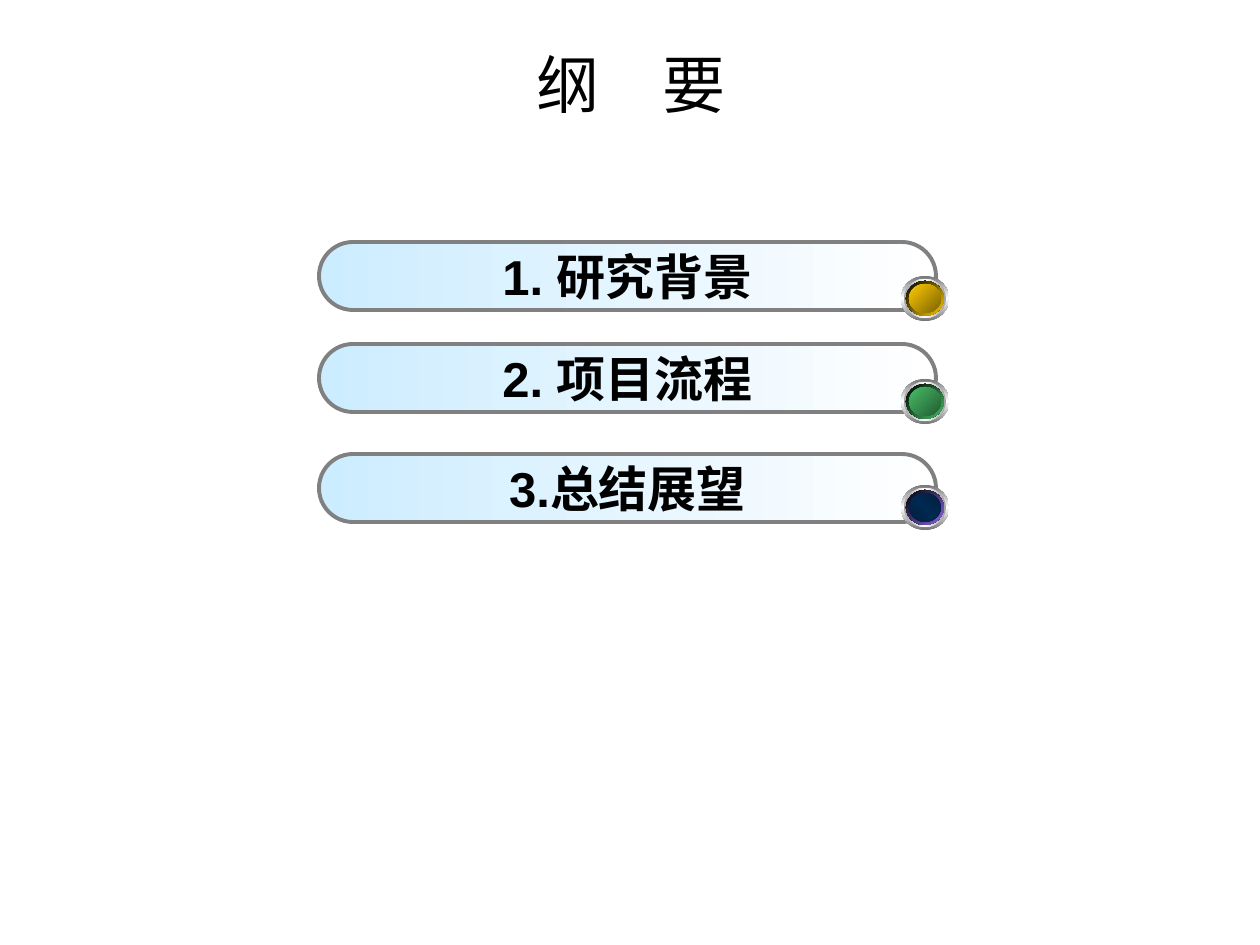
"""Build an outline slide with three pill-shaped entries and round badges."""
from pptx import Presentation
from pptx.dml.color import RGBColor
from pptx.enum.shapes import MSO_SHAPE
from pptx.enum.text import MSO_ANCHOR, PP_ALIGN
from pptx.oxml import parse_xml
from pptx.oxml.ns import nsdecls, qn
from pptx.util import Emu, Pt

PX = 914400 // 126
TITLE = "纲　要"
ENTRIES = [
    ("1. 研究背景", 242, 276, "FFCC00", "7C6300"),
    ("2. 项目流程", 344, 379, "48BE67", "235C32"),
    ("3.总结展望", 454, 485, "8D67E1", None),
]
BAR_LEFT, BAR_W, BAR_H = 319, 617, 68
BADGE_LEFT, BADGE_W, BADGE_H = 901, 48, 45


def px(*values):
    return [Emu(v * PX) for v in values]


def color(value):
    return RGBColor.from_string(value)


def write(sp, text, size, bold=False, wrap=True):
    tf = sp.text_frame
    tf.word_wrap = wrap
    tf.vertical_anchor = MSO_ANCHOR.MIDDLE
    p = tf.paragraphs[0]
    p.alignment = PP_ALIGN.CENTER
    r = p.add_run()
    r.text = text
    r.font.name = "Arial"
    r.font.size = Pt(size)
    r.font.bold = bold
    r.font.color.rgb = color("000000")


def add_gradient_shape(slide, kind, box, colors, angle, line=None):
    sp = slide.shapes.add_shape(kind, *px(*box))
    sp.shadow.inherit = False
    sp.fill.gradient()
    last = len(colors) - 1
    stops = "".join(
        f'<a:gs pos="{100000 * i // last}"><a:srgbClr val="{c}"/></a:gs>'
        for i, c in enumerate(colors)
    )
    spPr = sp._element.spPr
    spPr.replace(spPr.find(qn("a:gradFill")), parse_xml(
        f'<a:gradFill {nsdecls("a")} rotWithShape="1"><a:gsLst>{stops}</a:gsLst>'
        f'<a:lin ang="{angle * 60000}" scaled="1"/></a:gradFill>'
    ))
    if line:
        sp.line.color.rgb = color(line)
        sp.line.width = Pt(2.25)
    else:
        sp.line.fill.background()
    return sp


def add_badge(slide, top, light, dark):
    rings = [
        (0, ["767676", "FFFFFF", "767676"], 90),
        (3, ["A2A2A2", "FFFFFF", "A2A2A2"], 0),
        (5, ["FFFFFF", "002850", "FFFFFF"], 45),
        (5, ["000000", light], 45),
        (8, ["001F3D", "002850", "001F3D"], 315),
    ]
    if dark:
        rings.append((8, [light, dark], 45))
    for inset, colors, angle in rings:
        box = (BADGE_LEFT + inset, top + inset, BADGE_W - 2 * inset, BADGE_H - 2 * inset)
        add_gradient_shape(slide, MSO_SHAPE.OVAL, box, colors, angle)


def main():
    prs = Presentation()
    prs.slide_width, prs.slide_height = px(1260, 945)
    slide = prs.slides.add_slide(prs.slide_layouts[5])
    title = slide.shapes.title
    title.left, title.top, title.width, title.height = px(64, 39, 1134, 89)
    write(title, TITLE, 36)
    for text, bar_top, badge_top, light, dark in ENTRIES:
        bar = add_gradient_shape(
            slide, MSO_SHAPE.ROUNDED_RECTANGLE, (BAR_LEFT, bar_top, BAR_W, BAR_H),
            ["CCECFF", "FFFFFF"], 0, line="808080")
        bar.adjustments[0] = 0.5
        write(bar, text, 28, bold=True, wrap=False)
        add_badge(slide, badge_top, light, dark)
    prs.save("out.pptx")


if __name__ == "__main__":
    main()
